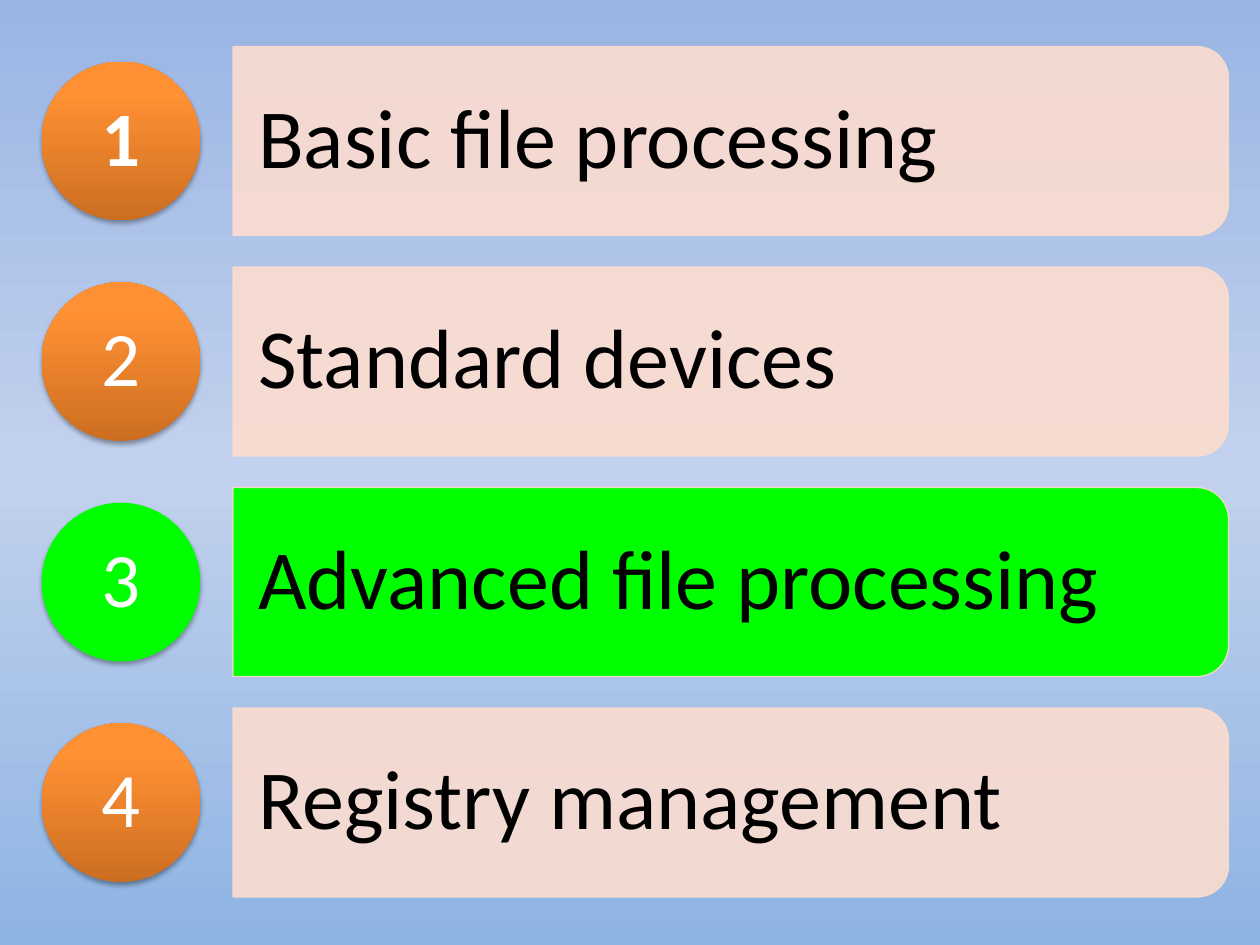
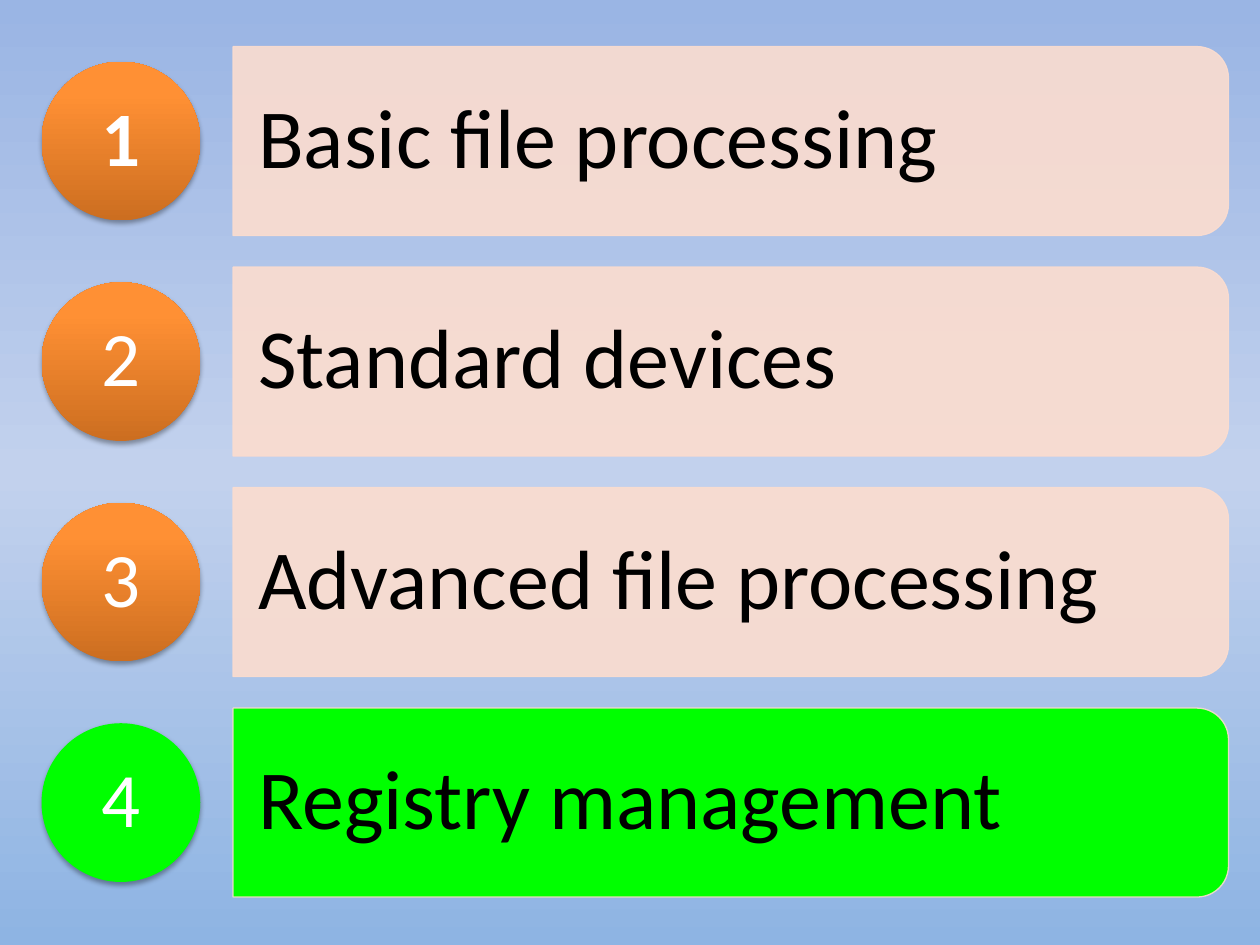
"""Build two agenda slides that highlight the current topic."""
from dataclasses import dataclass

from lxml import etree
from pptx import Presentation
from pptx.dml.color import RGBColor
from pptx.enum.shapes import MSO_SHAPE
from pptx.enum.text import MSO_ANCHOR, PP_ALIGN
from pptx.oxml.ns import qn
from pptx.util import Inches, Pt

BAR = MSO_SHAPE.ROUND_2_SAME_RECTANGLE
OVAL = MSO_SHAPE.OVAL
MIDDLE = MSO_ANCHOR.MIDDLE
LEFT, CENTER = PP_ALIGN.LEFT, PP_ALIGN.CENTER

TOPICS = [
    "Basic file processing",
    "Standard devices",
    "Advanced file processing",
    "Registry management",
]
CURRENT_TOPICS = [3, 4]

FIRST_CENTER, PITCH = 1.12, 1.75
BAR_LEFT, BAR_W, BAR_H = 1.85, 7.9, 1.5
LABEL_W, LABEL_H = 7.83, 1.35
BADGE_CENTER, BADGE_SIZE, NUMBER_SIZE = 0.96, 1.26, 0.89


@dataclass(frozen=True)
class Theme:
    font: str = "Calibri"
    label_size: int = 48
    number_size: int = 44
    text: str = "000000"
    number: str = "FFFFFF"
    bar: str = "FCDDCF"
    bar_opacity: int = 90
    highlight: str = "00FF00"
    shadow: str = "000000"
    background: tuple = ((0, "9AB5E4"), (50, "C2D1ED"), (100, "8EB4E3"))
    badge: tuple = ((0, "CC6E20"), (80, "FF9034"), (100, "FF9136"))


def add_color(parent, color, opacity=100):
    clr = etree.SubElement(parent, qn("a:srgbClr"), val=color)
    if opacity < 100:
        etree.SubElement(clr, qn("a:alpha"), val=str(opacity * 1000))


def set_solid(fill, color):
    fill.solid()
    fill.fore_color.rgb = RGBColor.from_string(color)


def set_gradient(fill, owner, stops, angle):
    fill.gradient()
    fill.gradient_angle = angle
    stop_list = owner.find(".//" + qn("a:gsLst"))
    stop_list.clear()
    for position, color in stops:
        stop = etree.SubElement(stop_list, qn("a:gs"), pos=str(position * 1000))
        add_color(stop, color)


def set_opacity(fill_element, opacity):
    clr = fill_element.find(qn("a:srgbClr"))
    etree.SubElement(clr, qn("a:alpha"), val=str(opacity * 1000))


class Deck:
    def __init__(self, theme):
        self.theme = theme
        self.prs = Presentation()
        self.prs.slide_width, self.prs.slide_height = Inches(10), Inches(7.5)
        master = self.prs.slide_master
        set_gradient(master.background.fill, master.element, theme.background, 270)
        self.shapes = None

    def new_slide(self):
        s = self.prs.slides.add_slide(self.prs.slide_layouts[6])
        self.shapes = s.shapes.add_group_shape().shapes

    def centered_box(self, cx, cy, w, h):
        return Inches(cx - w / 2), Inches(cy - h / 2), Inches(w), Inches(h)

    def bar(self, cy, current):
        t = self.theme
        box = self.centered_box(BAR_LEFT + BAR_W / 2, cy, BAR_H, BAR_W)
        sp = self.shapes.add_shape(BAR, *box)
        sp.rotation = 90
        sp.shadow.inherit = False
        set_solid(sp.fill, t.highlight if current else t.bar)
        set_solid(sp.line.fill, t.bar)
        sp.line.width = Pt(0.75)
        sp_pr = sp.element.spPr
        set_opacity(sp_pr.find(qn("a:ln")).find(qn("a:solidFill")), t.bar_opacity)
        if not current:
            set_opacity(sp_pr.find(qn("a:solidFill")), t.bar_opacity)

    def badge(self, cy, current):
        t = self.theme
        box = self.centered_box(BADGE_CENTER, cy, BADGE_SIZE, BADGE_SIZE)
        sp = self.shapes.add_shape(OVAL, *box)
        sp.line.fill.background()
        if current:
            set_solid(sp.fill, t.highlight)
        else:
            set_gradient(sp.fill, sp.element, t.badge, 90)
        sp.shadow.inherit = False
        effects = sp.element.spPr.find(qn("a:effectLst"))
        shadow = etree.SubElement(
            effects, qn("a:outerShdw"), blurRad=str(Pt(3.1)), dist=str(Pt(1.8)),
            dir="5400000", rotWithShape="0")
        add_color(shadow, t.shadow, 35)

    def text(self, box, text, size, color, align=LEFT, inset=(0, 0), bold=False):
        tf = self.shapes.add_textbox(*box).text_frame
        tf.word_wrap = True
        tf.vertical_anchor = MIDDLE
        tf.margin_left = tf.margin_right = Inches(inset[0])
        tf.margin_top = tf.margin_bottom = Inches(inset[1])
        tf.text = text
        p = tf.paragraphs[0]
        p.alignment = align
        p.line_spacing = 0.9
        r = p.runs[0]
        r.font.name = self.theme.font
        r.font.size = Pt(size)
        r.font.bold = bold
        r.font.color.rgb = RGBColor.from_string(color)

    def topic(self, number, title, current):
        t = self.theme
        cy = FIRST_CENTER + (number - 1) * PITCH
        self.bar(cy, current)
        label_box = self.centered_box(BAR_LEFT + LABEL_W / 2, cy, LABEL_W, LABEL_H)
        self.text(label_box, title, t.label_size, t.text, inset=(0.2, 0.13))
        self.badge(cy, current)
        number_box = self.centered_box(BADGE_CENTER, cy, NUMBER_SIZE, NUMBER_SIZE)
        self.text(number_box, str(number), t.number_size, t.number, CENTER,
                  bold=number == 1)


def main():
    deck = Deck(Theme())
    for current in CURRENT_TOPICS:
        deck.new_slide()
        for number, title in enumerate(TOPICS, 1):
            deck.topic(number, title, number == current)
    deck.prs.save("out.pptx")


if __name__ == "__main__":
    main()
